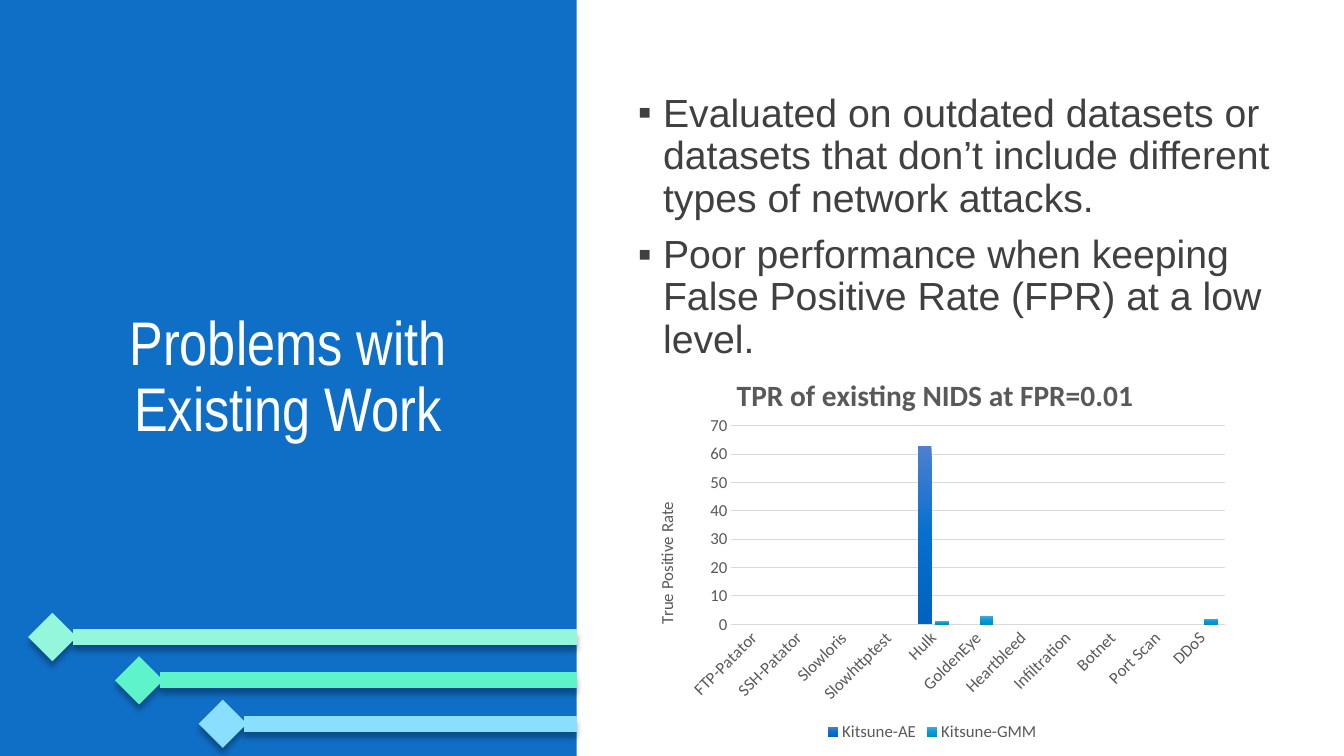
from dataclasses import dataclass

import lxml.etree
import pptx
import pptx.chart.data
import pptx.dml.color
import pptx.enum.chart
import pptx.enum.shapes
import pptx.enum.text
import pptx.oxml
import pptx.oxml.ns
import pptx.util

Pt = pptx.util.Pt
RGB = pptx.dml.color.RGBColor
qn = pptx.oxml.ns.qn

WHITE = RGB(0xFF, 0xFF, 0xFF)
BLUE = RGB(0x0F, 0x6F, 0xC6)
MINT = RGB(0x94, 0xF7, 0xDC)
GREEN = RGB(0x5F, 0xF3, 0xCA)
SKY = RGB(0x8A, 0xDF, 0xFF)
BODY_GREY = RGB(0x40, 0x40, 0x40)
CHART_GREY = RGB(0x59, 0x59, 0x59)
GRID_GREY = RGB(0xD9, 0xD9, 0xD9)
AE_STOPS = (RGB(0x4C, 0x80, 0xD0), RGB(0x06, 0x6F, 0xCF), RGB(0x00, 0x63, 0xBD))
GMM_STOPS = (RGB(0x4B, 0xA8, 0xE0), RGB(0x00, 0x9D, 0xD9), RGB(0x00, 0x8C, 0xC1))

PANEL_WIDTH = 411.84
A_NS = 'xmlns:a="http://schemas.openxmlformats.org/drawingml/2006/main"'
SHADOW = (f'<a:effectLst {A_NS}><a:outerShdw blurRad="50800" dist="50800" dir="5400000">'
          '<a:srgbClr val="000000"><a:alpha val="30000"/></a:srgbClr>'
          '</a:outerShdw></a:effectLst>')


@dataclass
class Stripe:
    left: float
    color: RGB


@dataclass
class Detector:
    name: str
    rates: dict[str, int]
    stops: tuple[RGB, ...]


STRIPES = [Stripe(37.44, MINT), Stripe(99.36, GREEN), Stripe(159.12, SKY)]
BULLETS = [
    "Evaluated on outdated datasets or datasets that don’t include different "
    "types of network attacks.",
    "Poor performance when keeping False Positive Rate (FPR) at a low level.",
]
ATTACKS = ["FTP-Patator", "SSH-Patator", "Slowloris", "Slowhttptest", "Hulk",
           "GoldenEye", "Heartbleed", "Infiltration", "Botnet", "Port Scan", "DDoS"]
DETECTORS = [
    Detector("Kitsune-AE", {"Hulk": 63}, AE_STOPS),
    Detector("Kitsune-GMM", {"Hulk": 1, "GoldenEye": 3, "DDoS": 2}, GMM_STOPS),
]


def set_font(font, color: RGB, **values) -> None:
    for name, value in values.items():
        setattr(font, name, value)
    font.color.rgb = color


def add_stripe(s, stripe: Stripe, y: float) -> None:
    line = s.shapes.add_connector(pptx.enum.shapes.MSO_CONNECTOR.STRAIGHT,
                                  Pt(stripe.left), Pt(y), Pt(PANEL_WIDTH), Pt(y))
    line.line.color.rgb = stripe.color
    line.line.width = Pt(11.5)
    ln = line.line._get_or_add_ln()
    lxml.etree.SubElement(ln, qn("a:headEnd"), type="diamond")
    line._element.spPr.append(pptx.oxml.parse_xml(SHADOW))


def add_bullet(p, text: str) -> None:
    pPr = p._p.get_or_add_pPr()
    pPr.set("marL", str(Pt(18)))
    pPr.set("indent", str(-Pt(18)))
    lxml.etree.SubElement(pPr, qn("a:buFont"), typeface="Arial")
    lxml.etree.SubElement(pPr, qn("a:buChar"), char="▪")
    p.line_spacing = 0.9
    r = p.add_run()
    r.text = text
    set_font(r.font, BODY_GREY, name="Arial", size=Pt(28))


def set_layout(parent, index: int, **places) -> None:
    """Place a chart part by fractions of the chart's size."""
    layout = parent.find(qn("c:layout"))
    if layout is None:
        layout = parent.makeelement(qn("c:layout"))
        parent.insert(index, layout)
    manual = lxml.etree.SubElement(layout, qn("c:manualLayout"))
    for name, value in places.items():
        lxml.etree.SubElement(manual, qn(f"c:{name}"), val=str(value))


def fill_gradient(series, stops: tuple[RGB, ...]) -> None:
    fill = series.format.fill
    fill.gradient()
    fill.gradient_angle = 270
    gs_list = next(series._element.iter(qn("a:gsLst")))
    for gs in list(gs_list):
        gs_list.remove(gs)
    for i, color in enumerate(stops):
        gs = lxml.etree.SubElement(gs_list, qn("a:gs"), pos=str(50000 * i))
        lxml.etree.SubElement(gs, qn("a:srgbClr"), val=str(color))


def set_chart_title(owner, text: str, x: float, y: float, **font) -> None:
    owner.has_title = True
    title = owner.chart_title if hasattr(owner, "chart_title") else owner.axis_title
    p = title.text_frame.paragraphs[0]
    r = p.add_run()
    r.text = text
    set_font(r.font, CHART_GREY, name="Calibri", **font)
    set_layout(title._element, 1, xMode="edge", yMode="edge", x=x, y=y)


def add_rate_chart(s) -> None:
    data = pptx.chart.data.CategoryChartData()
    data.categories = ATTACKS
    for d in DETECTORS:
        data.add_series(d.name, [d.rates.get(attack, 0) for attack in ATTACKS])
    chart = s.shapes.add_chart(pptx.enum.chart.XL_CHART_TYPE.COLUMN_CLUSTERED,
                               Pt(448.56), Pt(243.36), Pt(434.88), Pt(289.44), data).chart
    set_font(chart.font, CHART_GREY, name="Calibri", size=Pt(12))
    set_chart_title(chart, "TPR of existing NIDS at FPR=0.01", 0.17, 0.07,
                    size=Pt(21), bold=True)
    set_layout(chart._chartSpace.chart.plotArea, 0, layoutTarget="inner", xMode="edge",
               yMode="edge", x=0.17, y=0.21, w=0.81, h=0.49)

    # Columns
    plot = chart.plots[0]
    for name, value in {"gap_width": 100, "overlap": -24, "vary_by_categories": False}.items():
        setattr(plot, name, value)
    for series, d in zip(plot.series, DETECTORS):
        fill_gradient(series, d.stops)

    # Axes
    cat, val = chart.category_axis, chart.value_axis
    for axis in (cat, val):
        axis.major_tick_mark = axis.minor_tick_mark = pptx.enum.chart.XL_TICK_MARK.NONE
        set_font(axis.tick_labels.font, CHART_GREY, name="Calibri", size=Pt(12))
    cat.format.line.color.rgb = GRID_GREY
    cat.format.line.width = Pt(1)
    cat._element.find(qn("c:txPr")).find(qn("a:bodyPr")).set("rot", "-2700000")
    val.minimum_scale, val.maximum_scale, val.major_unit = 0, 70, 10
    val.format.line.fill.background()
    val.major_gridlines.format.line.color.rgb = GRID_GREY
    val.major_gridlines.format.line.width = Pt(0.75)
    set_chart_title(val, "True Positive Rate", 0.04, 0.39, size=Pt(12), bold=False)

    # Legend
    chart.has_legend = True
    chart.legend.position = pptx.enum.chart.XL_LEGEND_POSITION.BOTTOM
    chart.legend.include_in_layout = False
    set_font(chart.legend.font, CHART_GREY, name="Calibri", size=Pt(12))


def main() -> None:
    prs = pptx.Presentation()
    prs.slide_width, prs.slide_height = Pt(960), Pt(540)
    s = prs.slides.add_slide(prs.slide_layouts[5])

    # Blue side panel with stripes
    panel = s.shapes.add_shape(pptx.enum.shapes.MSO_SHAPE.RECTANGLE,
                               0, 0, Pt(PANEL_WIDTH), Pt(540))
    panel.shadow.inherit = False
    panel.fill.solid()
    panel.fill.fore_color.rgb = BLUE
    panel.line.fill.background()
    for i, stripe in enumerate(STRIPES):
        add_stripe(s, stripe, 455 + 31 * i)

    # Title, brought in front of the panel
    title = s.shapes.title
    s.shapes._spTree.append(title._element)
    title.left, title.top, title.width, title.height = Pt(62.64), Pt(218.16), Pt(286.56), Pt(104.4)
    tf = title.text_frame
    tf.word_wrap = True
    tf.auto_size = pptx.enum.text.MSO_AUTO_SIZE.NONE
    tf.vertical_anchor = pptx.enum.text.MSO_ANCHOR.MIDDLE
    p = tf.paragraphs[0]
    p.alignment = pptx.enum.text.PP_ALIGN.CENTER
    p.line_spacing = 0.9
    r = p.add_run()
    r.text = "Problems with Existing Work"
    set_font(r.font, WHITE, name="Arial Narrow", size=Pt(44))

    # Bullets
    tf = s.shapes.add_textbox(Pt(448.56), Pt(63.36), Pt(481.68), Pt(412.56)).text_frame
    tf.word_wrap = True
    for i, text in enumerate(BULLETS):
        p = tf.add_paragraph() if i else tf.paragraphs[0]
        add_bullet(p, text)
        if i:
            p.space_before = Pt(10)

    add_rate_chart(s)
    prs.save("out.pptx")


if __name__ == "__main__":
    main()
